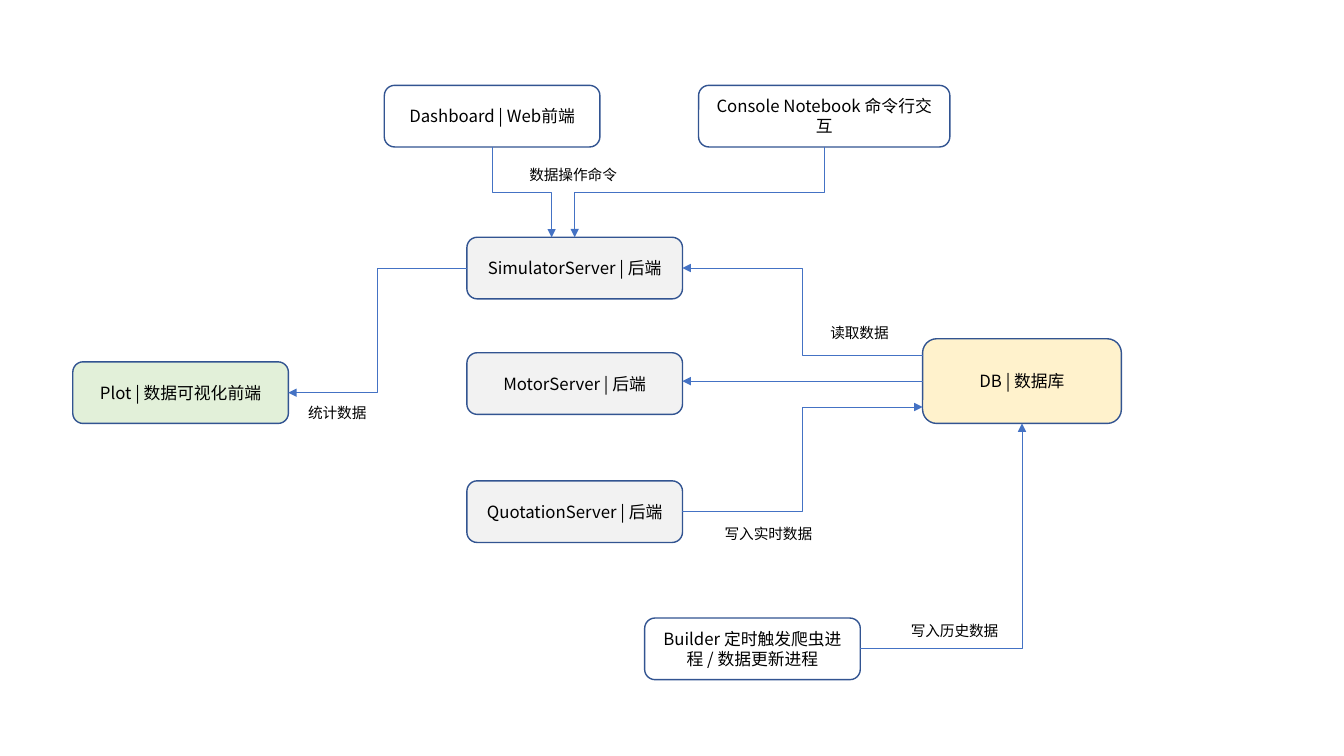
from collections import namedtuple
from dataclasses import dataclass

from lxml import etree
from pptx import Presentation
from pptx import util as u
from pptx.dml import color
from pptx.enum import shapes, text
from pptx.oxml import ns


@dataclass(frozen=True)
class Theme:
    """Colours and type sizes of the diagram."""
    font: str = "Noto Sans CJK SC"
    ink: str = "000000"
    border: str = "325491"
    flow: str = "4472C4"
    client: str = "FFFFFF"
    server: str = "F2F2F2"
    plot: str = "E2F0D9"
    database: str = "FFF2CC"
    node_size: float = 12
    label_size: float = 10.5
    border_width: float = 1
    flow_width: float = 0.5


THEME = Theme()
NODE_W, NODE_H = 154, 44


class Box(namedtuple("Box", "left top width height")):
    """A rectangle in points, with the points where flows meet it."""

    def at(self, across, down):
        """Return the point at the given fractions of width and height."""
        return self.left + across * self.width, self.top + down * self.height

    def inner(self, dx, dy, width=NODE_W, height=NODE_H):
        """Return a box placed relative to this one."""
        return Box(self.left + dx, self.top + dy, width, height)


def rgb(value):
    """Turn a hex string into a colour."""
    return color.RGBColor.from_string(value)


def write(frame, wording, size):
    """Set the wording of a text frame and format its run."""
    frame.text = wording
    font = frame.paragraphs[0].runs[0].font
    font.name, font.size = THEME.font, u.Pt(size)
    font.color.rgb = rgb(THEME.ink)
    east_asian = etree.SubElement(font._element, ns.qn("a:ea"))
    east_asian.set("typeface", THEME.font)


def draw_node(slide, box, wording, fill):
    """Draw one rounded component box and return its rectangle."""
    node = slide.shapes.add_shape(
        shapes.MSO_SHAPE.ROUNDED_RECTANGLE, *map(u.Pt, box))
    node.shadow.inherit = False
    node.fill.solid()
    node.fill.fore_color.rgb = rgb(fill)
    node.line.color.rgb = rgb(THEME.border)
    node.line.width = u.Pt(THEME.border_width)
    frame = node.text_frame
    frame.word_wrap = True
    frame.vertical_anchor = text.MSO_ANCHOR.MIDDLE
    write(frame, wording, THEME.node_size)
    frame.paragraphs[0].alignment = text.PP_ALIGN.CENTER
    return box


def draw_label(slide, left, top, wording):
    """Draw the caption of a flow, as wide as its wording."""
    width = len(wording) * THEME.label_size + 14.4
    label = slide.shapes.add_textbox(*map(u.Pt, (left, top, width, 20)))
    frame = label.text_frame
    frame.word_wrap = False
    frame.auto_size = text.MSO_AUTO_SIZE.SHAPE_TO_FIT_TEXT
    write(frame, wording, THEME.label_size)


def draw_flow(slide, start, end, route="across"):
    """Draw an arrow: straight, across first, down first, or one corner."""
    (x1, y1), (x2, y2) = start, end
    if route == "down":
        # A quarter turn about the centre makes the first leg vertical.
        mid_x, mid_y = (x1 + x2) / 2, (y1 + y2) / 2
        half_x, half_y = (x2 - x1) / 2, (y2 - y1) / 2
        x1, x2 = mid_x - half_y, mid_x + half_y
        y1, y2 = mid_y + half_x, mid_y - half_x
    kind = shapes.MSO_CONNECTOR.STRAIGHT if route == "straight" \
        else shapes.MSO_CONNECTOR.ELBOW
    flow = slide.shapes.add_connector(kind, *map(u.Pt, (x1, y1, x2, y2)))
    flow.line.color.rgb = rgb(THEME.flow)
    flow.line.width = u.Pt(THEME.flow_width)
    properties = flow._element.spPr
    if route == "down":
        properties.find(ns.qn("a:xfrm")).set("rot", str(90 * 60000))
    if route == "corner":
        properties.find(ns.qn("a:prstGeom")).set("prst", "bentConnector2")
    head = etree.SubElement(properties.find(ns.qn("a:ln")), ns.qn("a:tailEnd"))
    head.set("type", "triangle")
    etree.SubElement(properties, ns.qn("a:effectLst"))


def draw_clients(slide, box):
    """Draw the two command front ends at the ends of the box."""
    notebook_w = 179.5
    dashboard = draw_node(slide, box.inner(0, 0), "Dashboard | Web前端",
                          THEME.client)
    notebook = draw_node(
        slide, box.inner(box.width - notebook_w, 0, notebook_w),
        "Console Notebook 命令行交互", THEME.client)
    return dashboard, notebook


def draw_servers(slide, box):
    """Draw the column of back-end servers."""
    servers = (("Simulator", 0), ("Motor", 82.5), ("Quotation", 174))
    return [draw_node(slide, box.inner(0, dy), f"{name}Server | 后端",
                      THEME.server) for name, dy in servers]


def draw_storage(slide, box):
    """Draw the database at the top right and its update job bottom left."""
    database_w, database_h = 142, 60.5
    database = draw_node(
        slide, box.inner(box.width - database_w, 0, database_w, database_h),
        "DB | 数据库", THEME.database)
    job = draw_node(slide, box.inner(0, box.height - NODE_H),
                    "Builder 定时触发爬虫进程 / 数据更新进程", THEME.client)
    return database, job


def draw_architecture(slide, box):
    """Draw all regions in the box, then the flows between them."""
    dashboard, notebook = draw_clients(slide, box.inner(222.5, 0, 404))
    simulator, motor, quotation = draw_servers(
        slide, box.inner(281.5, 108.5, NODE_W, 218))
    database, job = draw_storage(slide, box.inner(408.5, 181, 340.5, 243.5))
    plot = draw_node(slide, box.inner(0, 197.5), "Plot | 数据可视化前端",
                     THEME.plot)

    sim_x, sim_y = simulator.at(0.5, 0)
    db_x, db_y = database.at(0, 0.5)
    spread = 18.5
    draw_flow(slide, dashboard.at(0.5, 1), (sim_x - 16.5, sim_y), "down")
    draw_flow(slide, notebook.at(0.5, 1), (sim_x, sim_y), "down")
    draw_flow(slide, simulator.at(0, 0.5), plot.at(1, 0.5))
    draw_flow(slide, (db_x, db_y - spread), simulator.at(1, 0.5))
    draw_flow(slide, (db_x, db_y), (motor.at(1, 0)[0], db_y), "straight")
    draw_flow(slide, quotation.at(1, 0.5), (db_x, db_y + spread))
    draw_flow(slide, job.at(1, 0.5), database.at(0.5, 1), "corner")

    for dx, dy, wording in ((319, 54, "数据操作命令"),
                            (161, 224, "统计数据"),
                            (534, 166.5, "读取数据"),
                            (458.5, 310.5, "写入实时数据"),
                            (591.5, 379.5, "写入历史数据")):
        draw_label(slide, box.left + dx, box.top + dy, wording)


deck = Presentation()
deck.slide_width, deck.slide_height = u.Pt(960), u.Pt(540)
architecture = deck.slides.add_slide(deck.slide_layouts[6])
draw_architecture(architecture, Box(52, 61, 749, 427))
deck.save("out.pptx")
